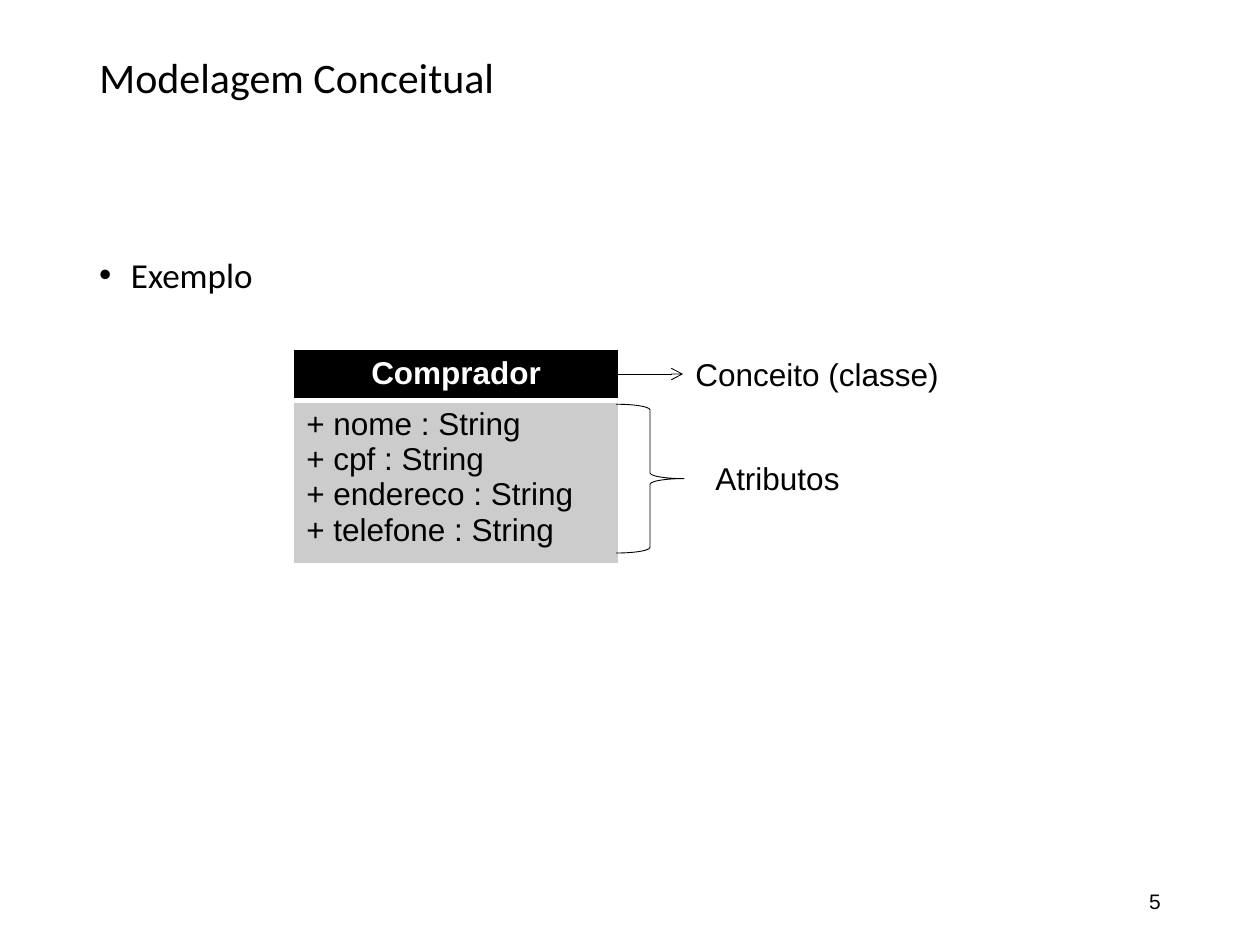
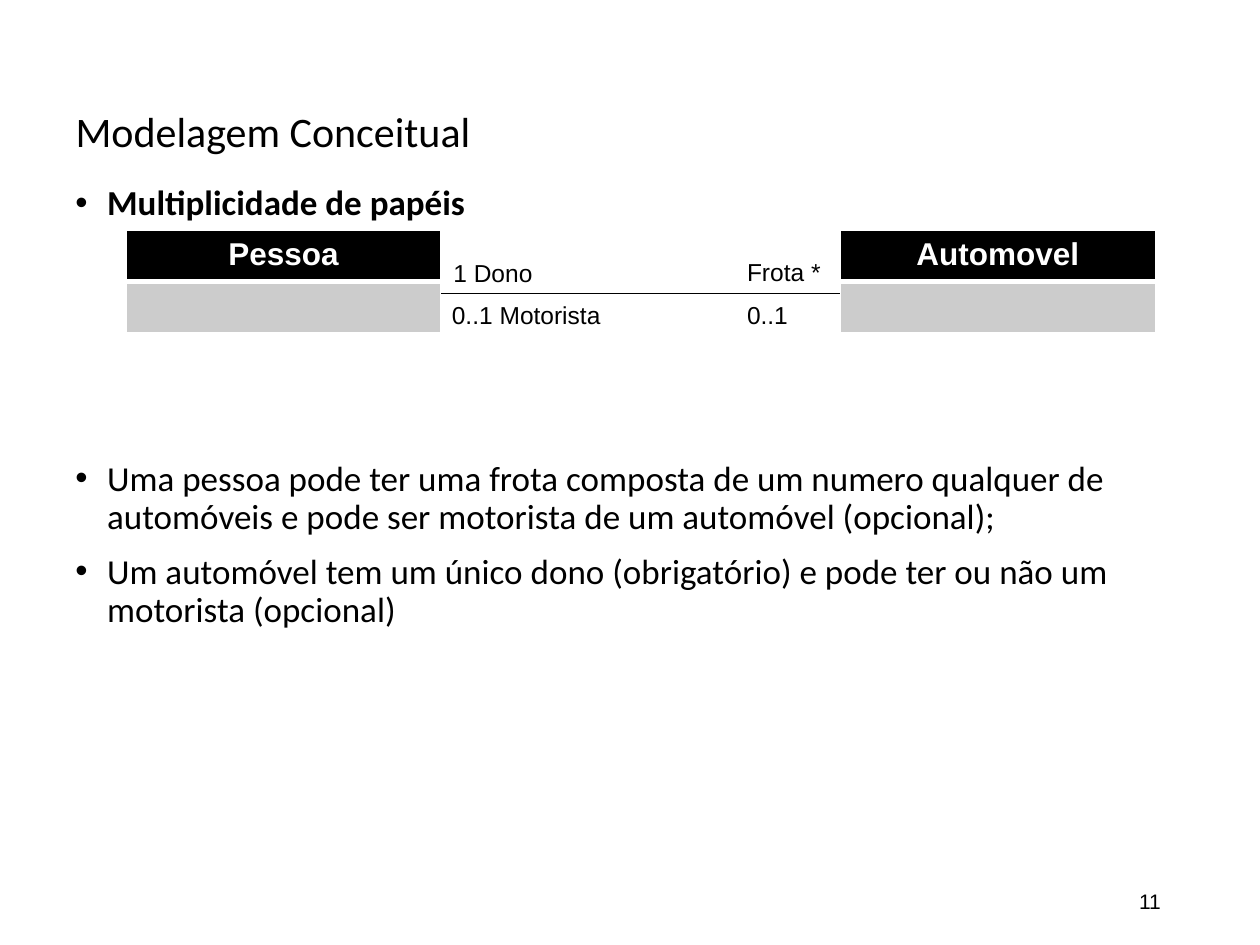
import pptx
import pptx.util
import pptx.dml.color
import pptx.enum.shapes
import pptx.enum.text
import pptx.oxml.ns
from lxml import etree

Cm = pptx.util.Cm
Pt = pptx.util.Pt
Align = pptx.enum.text.PP_ALIGN
Anchor = pptx.enum.text.MSO_ANCHOR
Shape = pptx.enum.shapes.MSO_SHAPE

COLORS = {"text": "000000", "paper": "FFFFFF", "head": "000000", "cell": "CCCCCC"}
HEAD, BODY = "Calibri", "Arial"
ROW = 1.03


def color(name):
    return pptx.dml.color.RGBColor.from_string(COLORS[name])


def child(parent, tag, **attrs):
    return etree.SubElement(parent, pptx.oxml.ns.qn(tag), attrs)


def style(para, face, size, tint="text", bold=False, align=Align.LEFT):
    font = para.font
    font.name, font.size, font.bold = face, Pt(size), bold
    font.color.rgb = color(tint)
    para.alignment = align


def add_page(deck, number, left, top, width, height):
    """Add a slide with the shared title style and its page number."""
    slide = deck.slides.add_slide(deck.slide_layouts[5])
    title = slide.shapes.title
    title.left, title.top = Cm(left), Cm(top)
    title.width, title.height = Cm(width), Cm(height)
    frame = title.text_frame
    frame.text = "Modelagem Conceitual"
    frame.auto_size = pptx.enum.text.MSO_AUTO_SIZE.NONE
    frame.vertical_anchor = Anchor.TOP
    para = frame.paragraphs[0]
    style(para, HEAD, 24)
    para.line_spacing = 0.9
    add_label(slide, str(number), 17.93, 17.65, 5.72, 1.02, 12,
              align=Align.RIGHT, anchor=Anchor.MIDDLE, wrap=True)
    return slide


def add_label(slide, text, left, top, width, height=1.02, size=18,
              align=Align.LEFT, anchor=Anchor.TOP, wrap=False):
    box = slide.shapes.add_textbox(Cm(left), Cm(top), Cm(width), Cm(height))
    frame = box.text_frame
    frame.word_wrap = wrap
    frame.vertical_anchor = anchor
    frame.text = text
    style(frame.paragraphs[0], BODY, size, align=align)


def add_list(slide, left, top, width, height, items):
    """Add bullets; each item is text, bold flag and space before in points."""
    box = slide.shapes.add_textbox(Cm(left), Cm(top), Cm(width), Cm(height))
    frame = box.text_frame
    frame.word_wrap = True
    for i, (text, bold, gap) in enumerate(items):
        para = frame.add_paragraph() if i else frame.paragraphs[0]
        para.text = text
        style(para, HEAD, 20, bold=bold)
        para.line_spacing = 0.9
        para.space_before = Pt(gap)
        props = para._p.get_or_add_pPr()
        indent = Cm(0.64)
        props.set("marL", str(indent))
        props.set("indent", str(-indent))
        bullet = pptx.oxml.ns.qn("a:buChar")
        child(props, "a:buFont", typeface="Arial")
        etree.SubElement(props, bullet, char="•")
        # Default run properties come after the bullet in the schema
        props.append(props.find(pptx.oxml.ns.qn("a:defRPr")))


def set_edges(cell, edges):
    props = cell._tc.get_or_add_tcPr()
    for i, (side, width) in enumerate(edges.items()):
        line = etree.Element(pptx.oxml.ns.qn("a:ln" + side), w=str(Pt(width)))
        child(child(line, "a:solidFill"), "a:srgbClr", val=COLORS["paper"])
        props.insert(i, line)


def add_class(slide, name, fields, left, top, width, height=ROW):
    """Add a class box: a name row above a row of attributes."""
    table = slide.shapes.add_table(2, 1, Cm(left), Cm(top), Cm(width),
                                   Cm(ROW + height)).table
    rows = [
        ([name], ROW, "head", "paper", True, Align.CENTER,
         {"L": 1, "R": 1, "T": 1, "B": 3}),
        (fields, height, "cell", "text", False, Align.LEFT,
         {"L": 1, "R": 1, "B": 1}),
    ]
    for i, (lines, tall, fill, tint, bold, align, edges) in enumerate(rows):
        table.rows[i].height = Cm(tall)
        cell = table.cell(i, 0)
        cell.fill.solid()
        cell.fill.fore_color.rgb = color(fill)
        cell.text = "\n".join(lines)
        for para in cell.text_frame.paragraphs:
            style(para, BODY, 18, tint, bold, align)
        set_edges(cell, edges)


def add_line(slide, start, end, y, arrow=False):
    line = slide.shapes.add_connector(pptx.enum.shapes.MSO_CONNECTOR.STRAIGHT,
                                      Cm(start), Cm(y), Cm(end), Cm(y))
    line.line.color.rgb = color("text")
    line.line.width = Pt(0.5)
    if arrow:
        child(line.line._get_or_add_ln(), "a:tailEnd", type="arrow")
    child(line._element.spPr, "a:effectLst")


def add_brace(slide, left, top, width, height):
    brace = slide.shapes.add_shape(Shape.RIGHT_BRACE, Cm(left), Cm(top),
                                   Cm(width), Cm(height))
    brace.shadow.inherit = False
    brace.fill.background()
    brace.line.color.rgb = color("text")
    brace.line.width = Pt(0.5)


def build_example(deck):
    slide = add_page(deck, 5, 1.75, 1.02, 21.9, 3.68)
    add_list(slide, 1.75, 5.08, 21.9, 12.09, [("Exemplo", False, 10)])
    names = ["nome", "cpf", "endereco", "telefone"]
    add_class(slide, "Comprador", [f"+ {name} : String" for name in names],
              5.92, 7.04, 6.55, 3.3)
    # Callouts
    add_label(slide, "Conceito (classe)", 13.77, 7.04, 5.46)
    add_line(slide, 11.86, 13.77, 7.54, arrow=True)
    add_brace(slide, 12.42, 8.15, 1.37, 3)
    add_label(slide, "Atributos", 14.17, 9.12, 3.05)


def build_roles(deck):
    slide = add_page(deck, 11, 1.27, 2.11, 22.86, 1.83)
    # The wide gap leaves room for the diagram
    add_list(slide, 1.27, 3.61, 22.86, 13.41, [
        ("Multiplicidade de papéis", True, 10),
        ("Uma pessoa pode ter uma frota composta de um numero qualquer de "
         "automóveis e pode ser motorista de um automóvel (opcional);",
         False, 136),
        ("Um automóvel tem um único dono (obrigatório) e pode ter ou não um "
         "motorista (opcional)", False, 10),
    ])
    # Classes and their association
    for name, left in (("Pessoa", 2.54), ("Automovel", 16.94)):
        add_class(slide, name, [], left, 4.65, 6.35)
    add_line(slide, 8.89, 16.94, 5.92)
    for text, left, top, width in (
        ("0..1 Motorista", 8.86, 5.92, 3.53),
        ("1 Dono", 8.89, 5.08, 2.11),
        ("Frota *", 14.81, 5.05, 2.01),
        ("0..1", 14.81, 5.92, 1.35),
    ):
        add_label(slide, text, left, top, width, 0.86, 14)


def main():
    deck = pptx.Presentation()
    deck.slide_width, deck.slide_height = Cm(25.4), Cm(19.05)
    build_example(deck)
    build_roles(deck)
    deck.save("out.pptx")


main()
